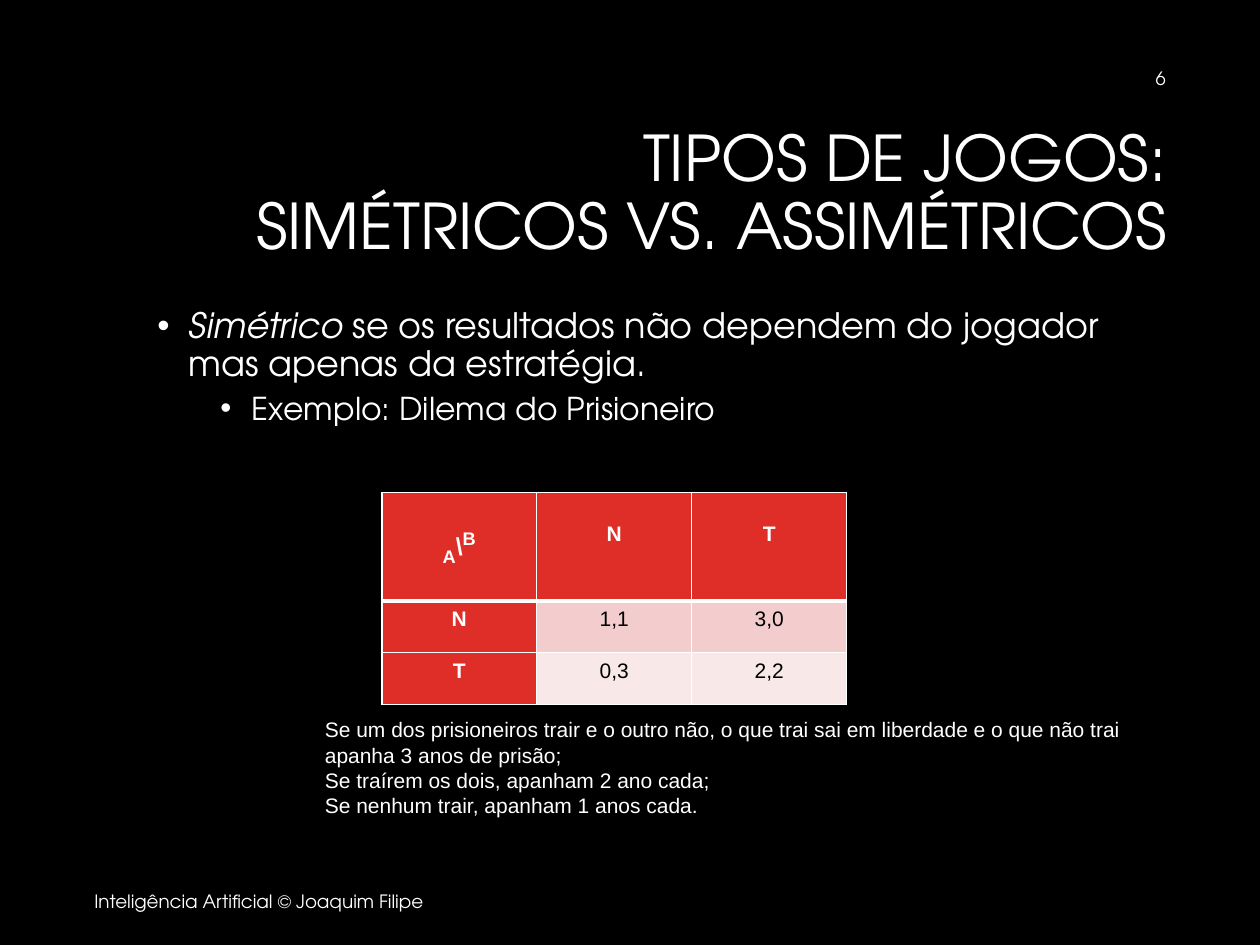
import pptx
import pptx.dml.color
import pptx.enum.text
import pptx.oxml.ns
import pptx.util
from lxml import etree

Inches, Pt = pptx.util.Inches, pptx.util.Pt
ALIGN, ANCHOR = pptx.enum.text.PP_ALIGN, pptx.enum.text.MSO_ANCHOR
qn = pptx.oxml.ns.qn

# Content
TITLE = "TIPOS DE JOGOS:\vSIMÉTRICOS VS. ASSIMÉTRICOS"
BULLETS = [  # (indent, size, [(text, italic)])
    (0.75, 20, [("Simétrico ", True),
                ("se os resultados não dependem do jogador mas apenas da estratégia.", False)]),
    (1.25, 18, [("Exemplo: Dilema do Prisioneiro", False)]),
]
CORNER = [("A", 18, -25000), ("\\", 14, 0), ("B", 18, 30000)]  # text, size, baseline
PAYOFFS = [
    ["", "N", "T"],
    ["N", "1,1", "3,0"],
    ["T", "0,3", "2,2"],
]
RULES = [
    "Se um dos prisioneiros trair e o outro não, o que trai sai em liberdade "
    "e o que não trai apanha 3 anos de prisão;",
    "Se traírem os dois, apanham 2 ano cada;",
    "Se nenhum trair, apanham 1 anos cada.",
]
FOOTER = "Inteligência Artificial © Joaquim Filipe"
PAGE_NUMBER = "6"

# Look
DISPLAY, PLAIN = "TeX Gyre Adventor", "Arial"
WHITE, BLACK, RED = "FFFFFF", "000000", "DF2E28"
BANDS = ["F3CDCD", "F9E8E8"]
COLUMN_WIDTH = 1.23
ROW_HEIGHTS = [0.86, 0.41, 0.41]


def color(value):
    return pptx.dml.color.RGBColor.from_string(value)


def format_run(run, size, font=DISPLAY, fill=WHITE, bold=False, italic=False):
    run.font.size, run.font.name = Pt(size), font
    run.font.bold, run.font.italic = bold, italic
    run.font.color.rgb = color(fill)


def place(shape, left, top, width, height):
    shape.left, shape.top = Inches(left), Inches(top)
    shape.width, shape.height = Inches(width), Inches(height)


def add_text(slide, box, lines, size, font=DISPLAY, align=ALIGN.LEFT, anchor=ANCHOR.TOP):
    shape = slide.shapes.add_textbox(*map(Inches, box))
    frame = shape.text_frame
    frame.word_wrap, frame.vertical_anchor = True, anchor
    frame.text = "\n".join(lines)
    for paragraph in frame.paragraphs:
        paragraph.alignment = align
        for run in paragraph.runs:
            format_run(run, size, font)


def add_bullets(slide, box):
    frame = slide.shapes.add_textbox(*map(Inches, box)).text_frame
    frame.word_wrap = True
    for level, (indent, size, pieces) in enumerate(BULLETS):
        paragraph = frame.add_paragraph() if level else frame.paragraphs[0]
        paragraph.level = level
        paragraph.line_spacing, paragraph.space_before = 0.9, Pt(5)
        properties = paragraph._p.get_or_add_pPr()
        properties.set("marL", str(Inches(indent)))
        properties.set("indent", str(Inches(-0.25)))
        etree.SubElement(properties, qn("a:buFont")).set("typeface", "Arial")
        etree.SubElement(properties, qn("a:buChar")).set("char", "•")
        for text, italic in pieces:
            run = paragraph.add_run()
            run.text = text
            format_run(run, size, italic=italic)


def set_borders(cell, widths):
    properties = cell._tc.get_or_add_tcPr()
    for index, (side, width) in enumerate(widths.items()):
        line = etree.Element(qn("a:" + side), w=str(Pt(width)))
        fill = etree.SubElement(line, qn("a:solidFill"))
        etree.SubElement(fill, qn("a:srgbClr")).set("val", WHITE)
        properties.insert(index, line)  # borders come before the fill


def add_payoff_table(slide, left, top):
    count = len(PAYOFFS)
    table = slide.shapes.add_table(count, count, Inches(left), Inches(top),
                                   Inches(COLUMN_WIDTH * count),
                                   Inches(sum(ROW_HEIGHTS))).table
    for column in table.columns:
        column.width = Inches(COLUMN_WIDTH)
    for row, height in zip(table.rows, ROW_HEIGHTS):
        row.height = Inches(height)
    for r, values in enumerate(PAYOFFS):
        for c, value in enumerate(values):
            cell, heading = table.cell(r, c), r == 0 or c == 0
            cell.fill.solid()
            cell.fill.fore_color.rgb = color(RED if heading else BANDS[r - 1])
            set_borders(cell, {"lnL": 1, "lnR": 1, "lnT": 3 if r == 1 else 1,
                               "lnB": 3 if r == 0 else 1})
            paragraph = cell.text_frame.paragraphs[0]
            paragraph.alignment = ALIGN.CENTER
            if r == c == 0:
                cell.vertical_anchor = ANCHOR.MIDDLE
                for text, size, baseline in CORNER:
                    run = paragraph.add_run()
                    run.text = text
                    format_run(run, size, PLAIN, bold=True)
                    run.font._element.set("baseline", str(baseline))
                continue
            paragraph.text = value
            if r == 0:
                paragraph.line_spacing = 2.0
            format_run(paragraph.runs[0], 12, PLAIN, WHITE if heading else BLACK, heading)


def main():
    presentation = pptx.Presentation()
    presentation.slide_width, presentation.slide_height = Inches(10), Inches(7.5)
    slide = presentation.slides.add_slide(presentation.slide_layouts[5])
    slide.background.fill.solid()
    slide.background.fill.fore_color.rgb = color(BLACK)

    # Title
    title = slide.shapes.title
    place(title, 1.54, 0.84, 7.82, 1.41)
    title.text_frame.text = TITLE
    title.text_frame.vertical_anchor = ANCHOR.MIDDLE
    paragraph = title.text_frame.paragraphs[0]
    paragraph.alignment, paragraph.line_spacing = ALIGN.RIGHT, 0.9
    for run in paragraph.runs:
        format_run(run, 36)

    # Body, payoff table and its rules
    add_bullets(slide, (0.65, 2.4, 8.7, 1.52))
    add_payoff_table(slide, 3.03, 3.91)
    add_text(slide, (2.48, 5.64, 6.61, 0.91), RULES, 12, PLAIN)

    # Footer and page number
    add_text(slide, (0.65, 6.95, 6.21, 0.4), [FOOTER], 10.5, anchor=ANCHOR.MIDDLE)
    add_text(slide, (7.19, 0.42, 2.16, 0.4), [PAGE_NUMBER], 10.5,
             align=ALIGN.RIGHT, anchor=ANCHOR.MIDDLE)

    presentation.save("out.pptx")


if __name__ == "__main__":
    main()
